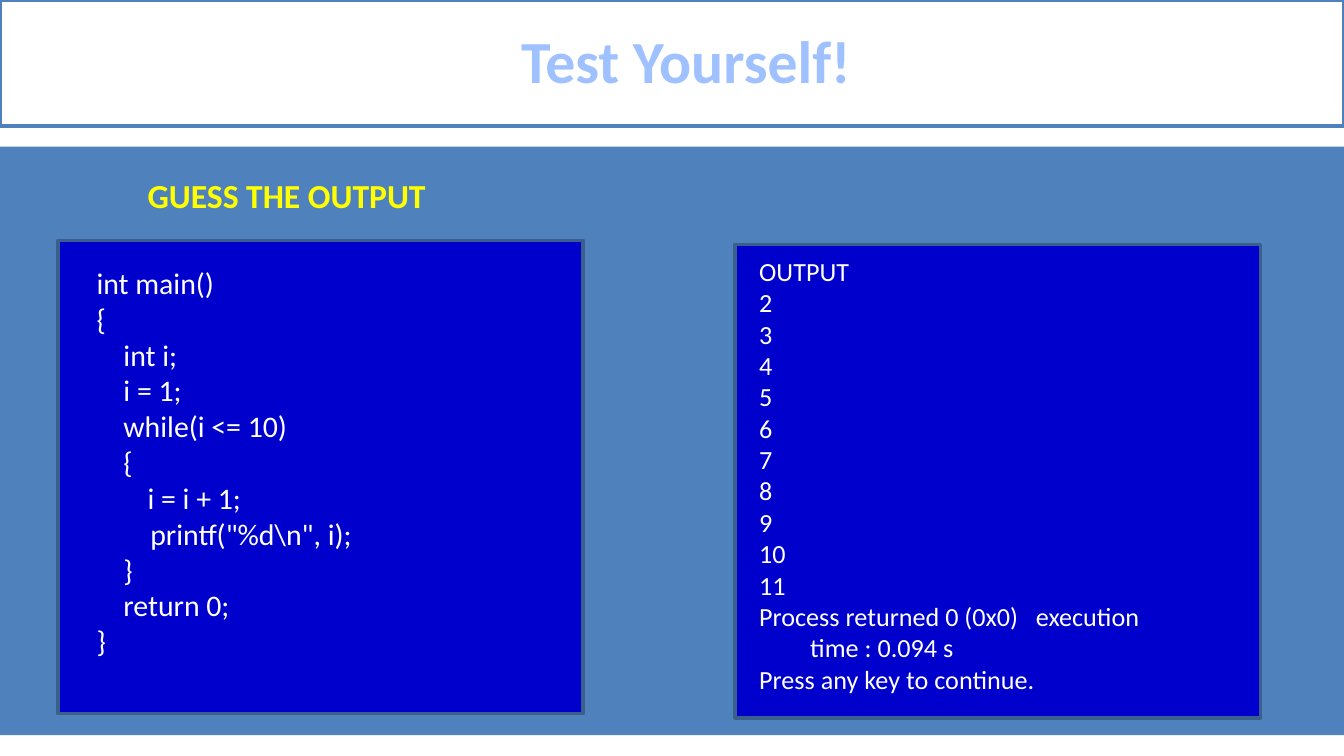
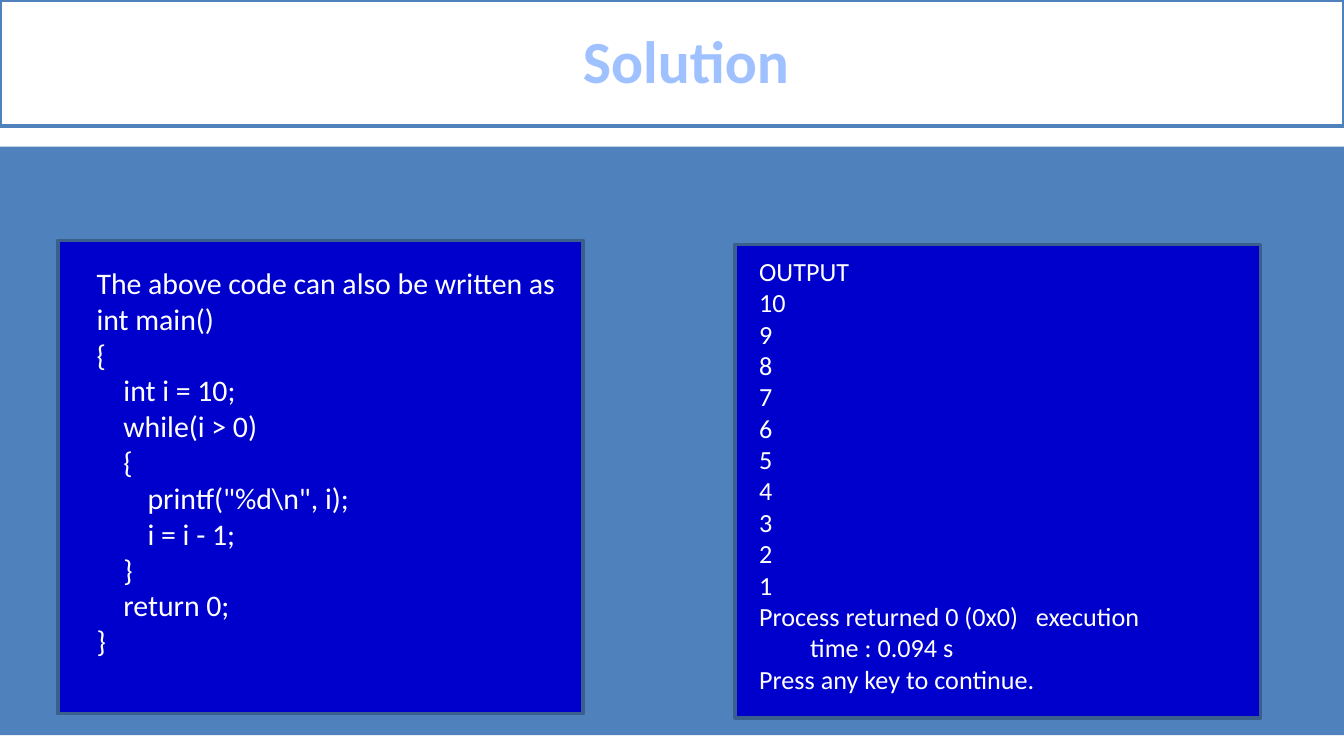
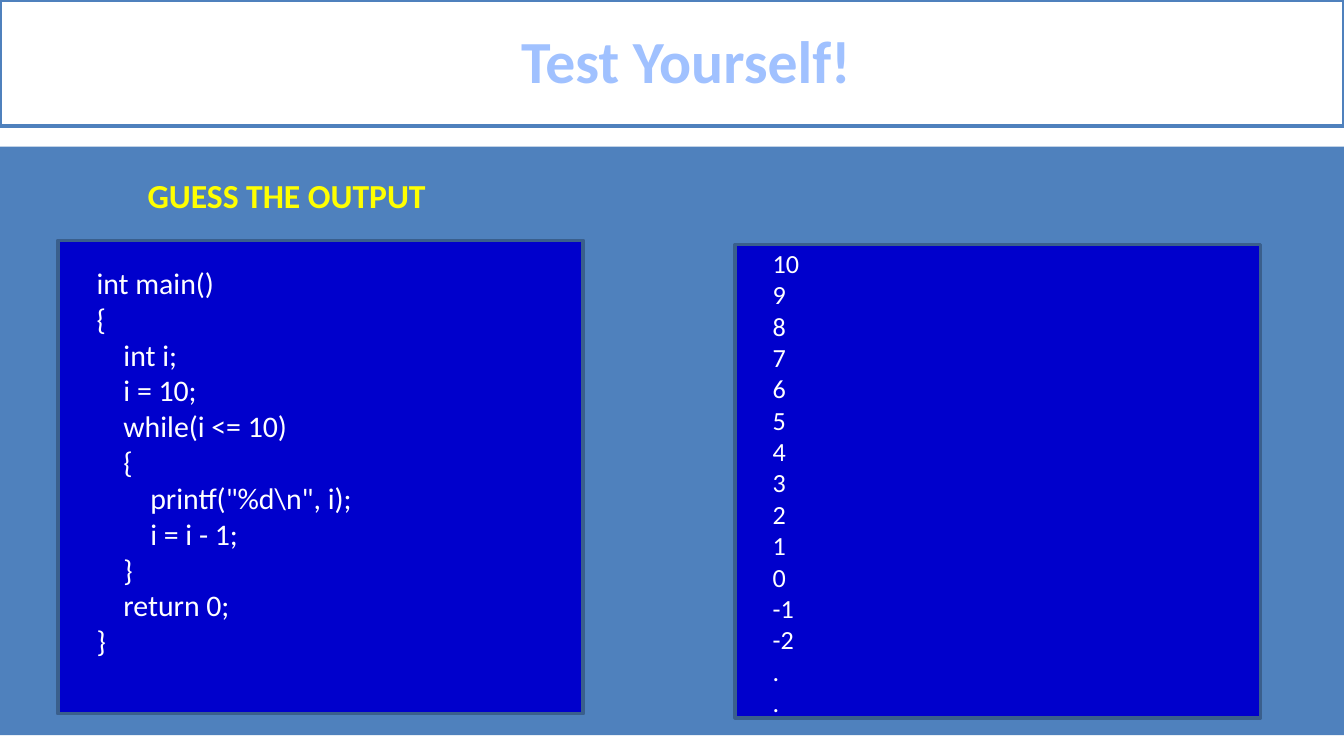
from dataclasses import dataclass

from pptx import Presentation
from pptx.dml.color import RGBColor
from pptx.enum.shapes import MSO_SHAPE
from pptx.enum.text import MSO_ANCHOR, MSO_AUTO_SIZE, PP_ALIGN
from pptx.util import Inches, Pt

RECTANGLE = MSO_SHAPE.RECTANGLE
MIDDLE = MSO_ANCHOR.MIDDLE
GROW = MSO_AUTO_SIZE.SHAPE_TO_FIT_TEXT
CENTER = PP_ALIGN.CENTER
LEFT = PP_ALIGN.LEFT

SLIDE_WIDTH = Inches(10)
SLIDE_HEIGHT = SLIDE_WIDTH * 9 // 16

WHITE = RGBColor(0xFF, 0xFF, 0xFF)
BAND_BLUE = RGBColor(0x4F, 0x81, 0xBD)
PANEL_BLUE = RGBColor(0x00, 0x00, 0xCC)
PANEL_EDGE = RGBColor(0x3A, 0x5F, 0x8C)
TITLE_BLUE = RGBColor(0xA0, 0xC1, 0xFF)
YELLOW = RGBColor(0xFF, 0xFF, 0x00)
FONT = "Calibri"


@dataclass(frozen=True)
class Box:
    left: float
    top: float
    width: float
    height: float

    def lengths(self) -> list:
        return [Inches(value) for value in (self.left, self.top, self.width, self.height)]


@dataclass(frozen=True)
class TextStyle:
    size: float
    color: RGBColor
    bold: bool = False
    margin: float = 0
    indent: float = 0
    alignment: PP_ALIGN = LEFT
    line_spacing: float = 1.0


@dataclass(frozen=True)
class Exercise:
    title: str
    code: list
    output: list
    output_box: Box
    heading: str = ""


TITLE_STYLE = TextStyle(32, TITLE_BLUE, True, 0.21, 0, CENTER, 0.96)
HEADING_STYLE = TextStyle(18, YELLOW, True, 1)
CODE_STYLE = TextStyle(16, WHITE, margin=0.88, indent=-0.38)
OUTPUT_STYLE = TextStyle(14, WHITE, margin=0.38, indent=-0.38)

TITLE_BOX = Box(0, 0, 10, 0.94)
BAND_BOX = Box(0, 1.09, 10, 4.38)
HEADING_BOX = Box(0, 1.25, 10, 0.4)
CODE_PANEL = Box(0.43, 1.79, 3.91, 3.52)
CODE_BOX = Box(0.12, 1.92, 4.69, 3.06)
OUTPUT_PANEL = Box(5.47, 1.82, 3.91, 3.52)
OUTPUT_BOX = Box(5.55, 1.85, 3.52, 3.4)
LONG_OUTPUT_BOX = Box(5.65, 1.79, 3.52, 3.64)

TEST_TITLE = "Test Yourself!"
GUESS = "GUESS THE OUTPUT"
CODE_END = ["    }", "    return 0;", "}"]
PROCESS_END = [
    "Process returned 0 (0x0)   execution time : 0.094 s",
    "Press any key to continue.",
]


def count(start: int, stop: int, step: int = 1) -> list:
    return [str(number) for number in range(start, stop, step)]


EXERCISES = [
    Exercise(
        TEST_TITLE,
        [
            "int main()",
            "{",
            "    int i;",
            "    i = 1;",
            "    while(i <= 10)",
            "    {",
            "\ti = i + 1;",
            '        printf("%d\\n", i);',
            *CODE_END,
        ],
        ["OUTPUT", *count(2, 12), *PROCESS_END],
        OUTPUT_BOX,
        GUESS,
    ),
    Exercise(
        "Solution",
        [
            "The above code can also be written as",
            "int main()",
            "{",
            "    int i = 10;",
            "    while(i > 0)",
            "    {",
            '\tprintf("%d\\n", i);',
            "\ti = i - 1;",
            *CODE_END,
        ],
        ["OUTPUT", *count(10, 0, -1), *PROCESS_END],
        OUTPUT_BOX,
    ),
    Exercise(
        TEST_TITLE,
        [
            "int main()",
            "{",
            "    int i;",
            "    i = 10;",
            "    while(i <= 10)",
            "    {",
            '        printf("%d\\n", i);',
            "        i = i - 1;",
            *CODE_END,
        ],
        [*count(10, -3, -1), ".", "."],
        LONG_OUTPUT_BOX,
        GUESS,
    ),
]


def write_lines(text_frame, lines: list, style: TextStyle) -> None:
    paragraph_format = {"alignment": style.alignment, "line_spacing": style.line_spacing}
    font_format = {"name": FONT, "size": Pt(style.size), "bold": style.bold}
    text_frame.word_wrap = True
    for index, line in enumerate(lines):
        paragraph = text_frame.add_paragraph() if index else text_frame.paragraphs[0]
        for name, value in paragraph_format.items():
            setattr(paragraph, name, value)
        properties = paragraph._p.get_or_add_pPr()
        properties.set("marL", str(Inches(style.margin)))
        properties.set("indent", str(Inches(style.indent)))
        run = paragraph.add_run()
        run.text = line
        for name, value in font_format.items():
            setattr(run.font, name, value)
        run.font.color.rgb = style.color


def add_rectangle(slide, box: Box, fill: RGBColor, edge: RGBColor | None = None):
    shape = slide.shapes.add_shape(RECTANGLE, *box.lengths())
    shape.shadow.inherit = False
    shape.fill.solid()
    shape.fill.fore_color.rgb = fill
    if edge is None:
        shape.line.fill.background()
    else:
        shape.line.color.rgb = edge
        shape.line.width = Pt(2)
    return shape


def add_text(slide, box: Box, lines: list, style: TextStyle) -> None:
    text_frame = slide.shapes.add_textbox(*box.lengths()).text_frame
    write_lines(text_frame, lines, style)
    text_frame.auto_size = GROW


def add_exercise(presentation, exercise: Exercise) -> None:
    slide = presentation.slides.add_slide(presentation.slide_layouts[6])
    add_rectangle(slide, BAND_BOX, BAND_BLUE)
    title = add_rectangle(slide, TITLE_BOX, WHITE, BAND_BLUE)
    title.text_frame.vertical_anchor = MIDDLE
    write_lines(title.text_frame, [exercise.title], TITLE_STYLE)
    add_rectangle(slide, CODE_PANEL, PANEL_BLUE, PANEL_EDGE)
    add_text(slide, CODE_BOX, exercise.code, CODE_STYLE)
    if exercise.heading:
        add_text(slide, HEADING_BOX, [exercise.heading], HEADING_STYLE)
    add_rectangle(slide, OUTPUT_PANEL, PANEL_BLUE, PANEL_EDGE)
    add_text(slide, exercise.output_box, exercise.output, OUTPUT_STYLE)


def main() -> None:
    presentation = Presentation()
    presentation.slide_width = SLIDE_WIDTH
    presentation.slide_height = SLIDE_HEIGHT
    for exercise in EXERCISES:
        add_exercise(presentation, exercise)
    presentation.save("out.pptx")


if __name__ == "__main__":
    main()
